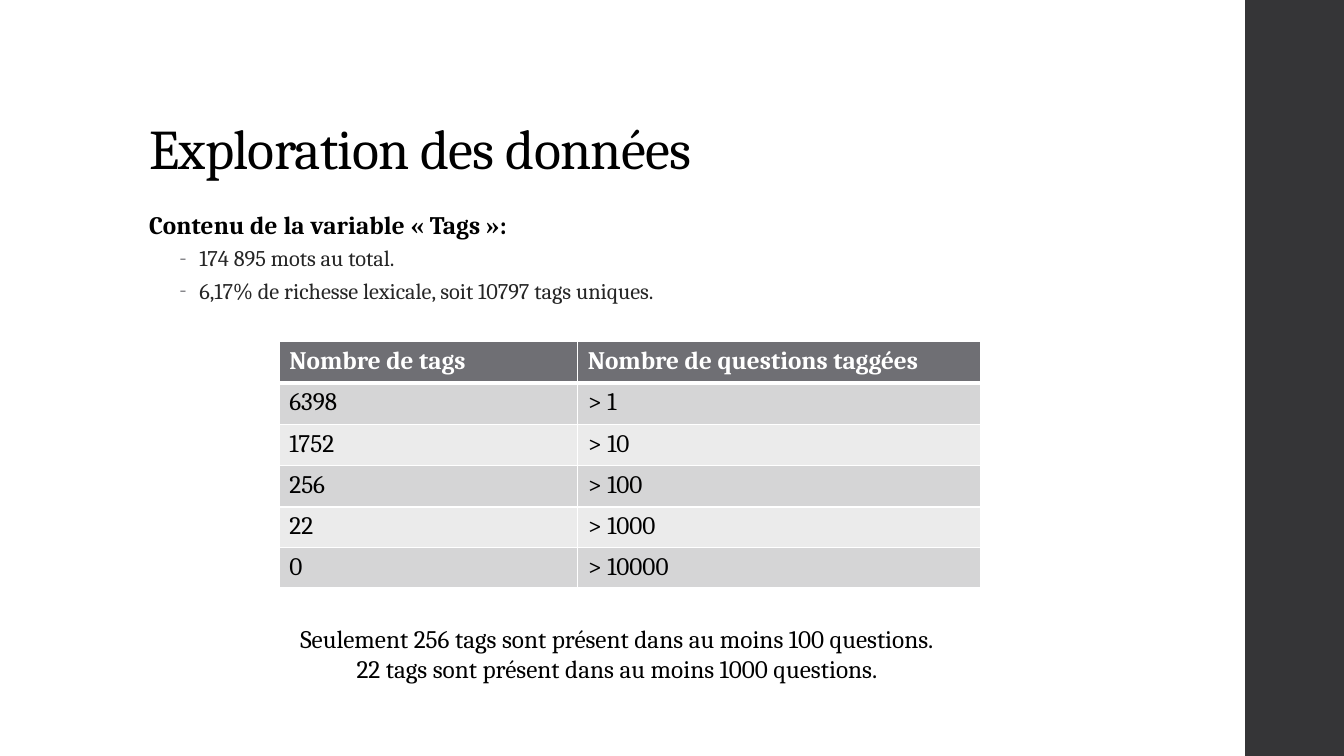
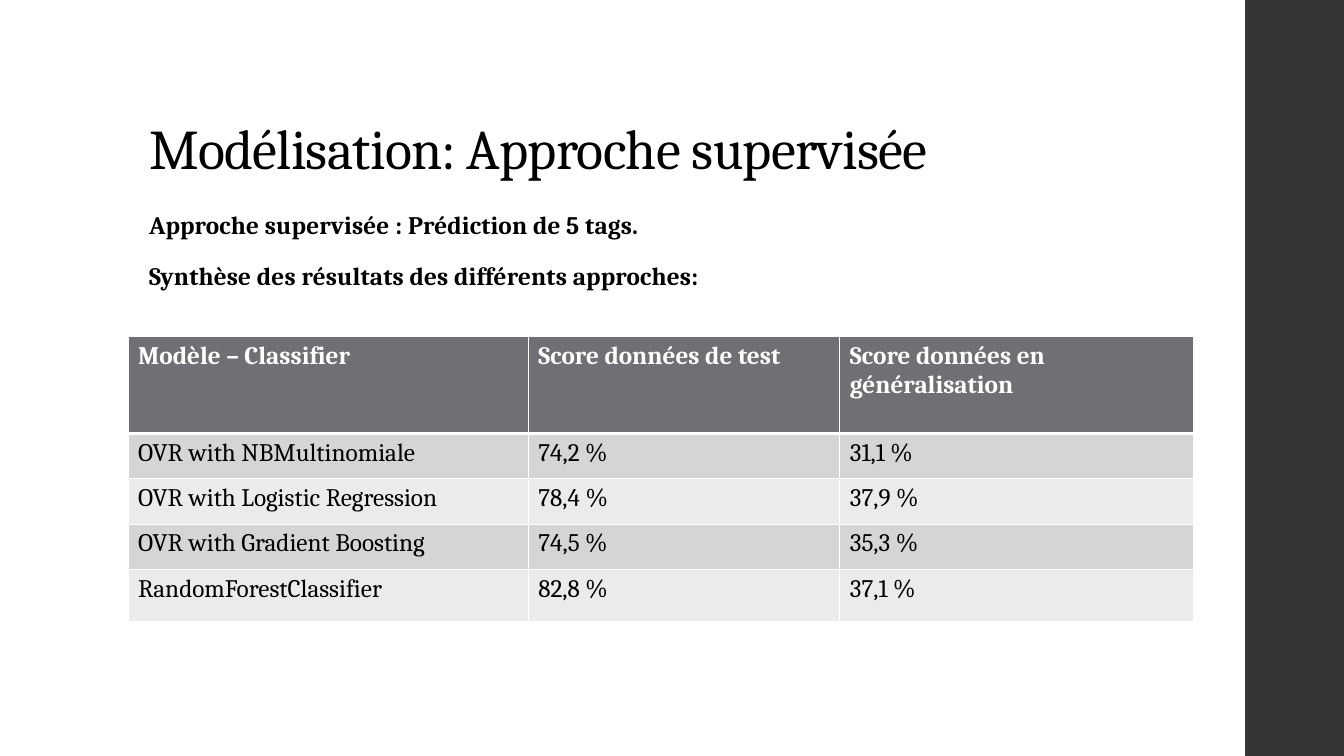
"""Build two slides on tag exploration and supervised model results."""
from lxml.etree import SubElement
from pptx import Presentation
from pptx.dml.color import RGBColor
from pptx.enum.shapes import MSO_SHAPE
from pptx.enum.text import MSO_ANCHOR, PP_ALIGN
from pptx.oxml.ns import qn
from pptx.util import Inches, Pt

FONT = "Cambria"
BLACK, WHITE, TEXT = "000000", "FFFFFF", "262626"
SIDE, ACCENT = "353537", "6F6F74"
BANDS = ["EBEBEB", "D5D5D6"]


def rgb(value):
    return RGBColor.from_string(value)


def style(p, size, color=BLACK, bold=False, spacing=0):
    for r in p.runs:
        r.font.name, r.font.size, r.font.bold = FONT, Pt(size), bold
        r.font.color.rgb = rgb(color)
        r._r.get_or_add_rPr().set("spc", str(spacing))


SLIDES = [
    {
        "title": "Exploration des données",
        "width": 10.34,
        "heads": ["Contenu de la variable «\u00a0Tags\u00a0»:"],
        "bullets": ["174 895 mots au total.",
                    "6,17% de richesse lexicale, soit 10797 tags uniques."],
        "at": (2.77, 3.39),
        "cols": [2.96, 4],
        "heights": [0.41, 0.41, 0.41, 0.41, 0.39, 0.39],
        "rows": [("Nombre de tags", "Nombre de questions taggées"),
                 ("6398", "> 1"),
                 ("1752", "> 10"),
                 ("256", "> 100"),
                 ("22", "> 1000"),
                 ("0", "> 10000")],
        "notes": ["Seulement 256 tags sont présent dans au moins 100 questions.",
                  "22 tags sont présent dans au moins 1000 questions."],
    },
    {
        "title": "Modélisation: Approche supervisée",
        "width": 9.79,
        "heads": ["Approche supervisée : Prédiction de 5 tags.",
                  "Synthèse des résultats des différents approches:"],
        "bullets": [],
        "at": (1.27, 3.34),
        "cols": [3.97, 3.09, 3.51],
        "heights": [0.96, 0.45, 0.45, 0.45, 0.52],
        "rows": [("Modèle – Classifier", "Score données de test",
                  "Score données en généralisation"),
                 ("OVR with NBMultinomiale", "74,2 %", "31,1 %"),
                 ("OVR with Logistic Regression", "78,4 %", "37,9 %"),
                 ("OVR with Gradient Boosting", "74,5 %", "35,3 %"),
                 ("RandomForestClassifier", "82,8 %", "37,1 %")],
        "notes": [],
    },
]

prs = Presentation()
prs.slide_width, prs.slide_height = Inches(13.33), Inches(7.5)

for data in SLIDES:
    s = prs.slides.add_slide(prs.slide_layouts[5])
    band = s.shapes.add_shape(MSO_SHAPE.RECTANGLE, Inches(12.35), 0,
                              Inches(0.98), prs.slide_height)
    band.shadow.inherit = False
    band.fill.solid()
    band.fill.fore_color.rgb = rgb(SIDE)
    band.line.fill.background()

    title = s.shapes.title
    title.left, title.top = Inches(1.38), Inches(0.4)
    title.width, title.height = Inches(10.6), Inches(1.45)
    tf = title.text_frame
    tf.text = data["title"]
    tf.vertical_anchor = MSO_ANCHOR.BOTTOM
    p = tf.paragraphs[0]
    p.alignment, p.line_spacing = PP_ALIGN.LEFT, 0.9
    style(p, 40, spacing=-50)

    body = s.shapes.add_textbox(Inches(1.38), Inches(2.05),
                                Inches(data["width"]), Inches(1.2))
    tf = body.text_frame
    tf.word_wrap = True
    tf.text = "\n".join(data["heads"] + data["bullets"])
    for i, p in enumerate(tf.paragraphs):
        p.alignment = PP_ALIGN.JUSTIFY
        if i < len(data["heads"]):
            p.line_spacing, p.space_before, p.space_after = 0.95, Pt(14), Pt(2)
            style(p, 18, bold=True, spacing=10)
            continue
        p.line_spacing, p.space_before, p.space_after = 0.9, Pt(3), Pt(3)
        p.level = 1
        style(p, 16, TEXT)
        pPr = p._p.get_or_add_pPr()
        pPr.set("marL", str(Inches(0.5)))
        pPr.set("indent", str(Inches(-0.2)))
        SubElement(SubElement(pPr, qn("a:buClr")), qn("a:srgbClr"), val=ACCENT)
        SubElement(pPr, qn("a:buFont"), typeface=FONT)
        SubElement(pPr, qn("a:buChar"), char="-")

    left, top = data["at"]
    table = s.shapes.add_table(len(data["rows"]), len(data["cols"]),
                               Inches(left), Inches(top),
                               Inches(sum(data["cols"])),
                               Inches(sum(data["heights"]))).table
    for col, width in zip(table.columns, data["cols"]):
        col.width = Inches(width)
    for i, (row, height) in enumerate(zip(table.rows, data["heights"])):
        row.height = Inches(height)
        header = i == 0
        for cell, value in zip(row.cells, data["rows"][i]):
            cell.text = value
            style(cell.text_frame.paragraphs[0], 18,
                  WHITE if header else BLACK, header)
            thick = {0: "a:lnB", 1: "a:lnT"}.get(i)
            tcPr = cell._tc.get_or_add_tcPr()
            for side in ("a:lnL", "a:lnR", "a:lnT", "a:lnB"):
                ln = SubElement(tcPr, qn(side), w=str(Pt(3 if side == thick else 1)))
                SubElement(SubElement(ln, qn("a:solidFill")), qn("a:srgbClr"), val=WHITE)
            cell.fill.solid()
            cell.fill.fore_color.rgb = rgb(ACCENT if header else BANDS[i % 2])

    if data["notes"]:
        box = s.shapes.add_textbox(Inches(2.35), Inches(6.13), Inches(7.54), Inches(0.71))
        tf = box.text_frame
        tf.word_wrap = True
        tf.text = "\n".join(data["notes"])
        for p in tf.paragraphs:
            p.alignment = PP_ALIGN.CENTER
            style(p, 18)

prs.save("out.pptx")
